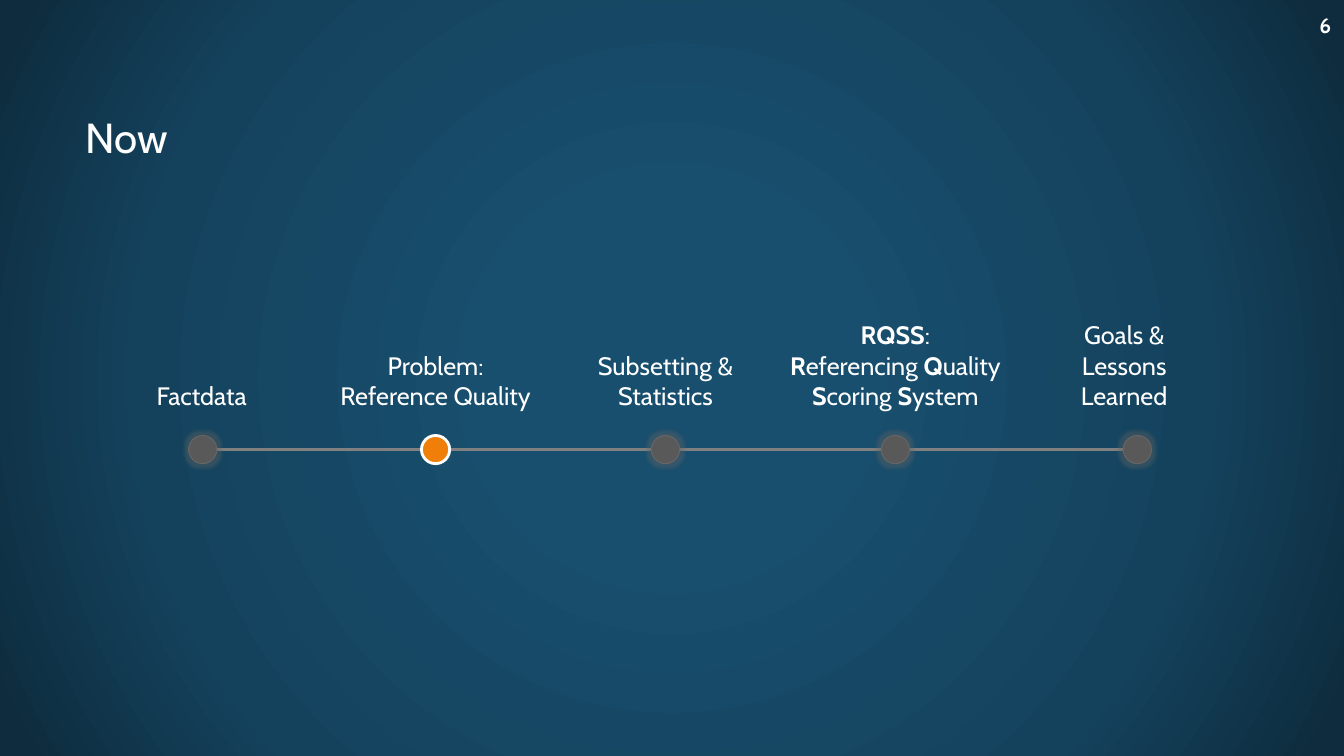
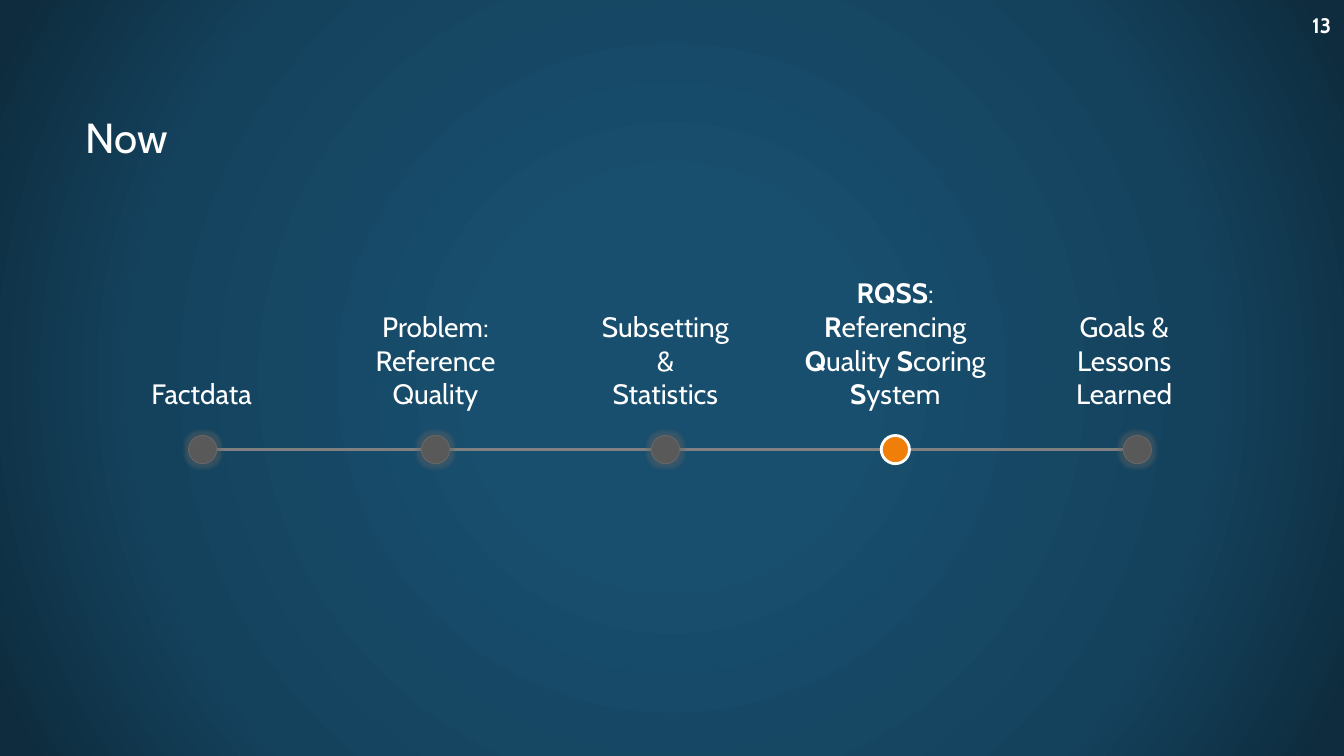
import pptx
import pptx.util
import pptx.dml.color
import pptx.enum.shapes
import pptx.enum.text
import pptx.oxml
import pptx.oxml.ns
from pptx.util import Inches

Pt = pptx.util.Pt
Align = pptx.enum.text.PP_ALIGN
Anchor = pptx.enum.text.MSO_ANCHOR
qn = pptx.oxml.ns.qn
NS = pptx.oxml.ns.nsdecls("a")

# Shared style
FONT = "Cabin"
WHITE, ORANGE = "FFFFFF", "F07F09"
GREY, EDGE, TRACK = "595959", "656565", "808080"
GLOW = [(0, "184E6E"), (23, "184E6E"), (69, "14425D"), (97, "0E2C3E")]
AXIS, SIZE = 4.46, 0.28
TOP, HIGH = 2.6, 1.52

# Stops: label centre, label width, dot centre, lines (*...* is bold)
STOPS = [
    (2.0, 1.43, 2.01, ["Factdata"]),
    (4.32, 2.25, 4.32, ["Problem:", "Reference Quality"]),
    (6.6, 1.56, 6.6, ["Subsetting &", "Statistics"]),
    (8.88, 2.46, 8.88,
     ["*RQSS*:", "*R*eferencing *Q*uality *S*coring *S*ystem"]),
    (11.15, 1.43, 11.28, ["Goals & Lessons Learned"]),
]

# Slides: page number, label size, index of the current stop
PAGES = [("6", 18, 1), ("13", 20, 3)]


def color(code):
    return pptx.dml.color.RGBColor.from_string(code)


class Deck:
    def __init__(self):
        self.file = pptx.Presentation()
        self.file.slide_width = Inches(13.33)
        self.file.slide_height = Inches(7.5)
        self.slide = None
        self.back()

    def back(self):
        """Give the master a round gradient."""
        master = self.file.slide_master
        master.background.fill.solid()
        stops = "".join(
            f'<a:gs pos="{pos * 1000}"><a:srgbClr val="{code}"/></a:gs>'
            for pos, code in GLOW)
        grad = pptx.oxml.parse_xml(
            f'<a:gradFill {NS} rotWithShape="1"><a:gsLst>{stops}</a:gsLst>'
            '<a:path path="circle"><a:fillToRect l="50000" t="50000" '
            'r="50000" b="50000"/></a:path></a:gradFill>')
        base = master.element.find(".//" + qn("p:bgPr"))
        base.replace(base[0], grad)

    def style(self, run, size, bold=False):
        run.font.name = FONT
        run.font.size = Pt(size)
        run.font.bold = bold
        run.font.color.rgb = color(WHITE)

    def page(self, title, number):
        self.slide = self.file.slides.add_slide(self.file.slide_layouts[5])
        head = self.slide.shapes.title
        head.left, head.top = Inches(0.75), Inches(0.67)
        head.width, head.height = Inches(11.86), Inches(1.38)
        head.text_frame.text = title
        head.text_frame.vertical_anchor = Anchor.MIDDLE
        para = head.text_frame.paragraphs[0]
        para.alignment = Align.LEFT
        self.style(para.runs[0], 30)
        self.text(11.92, 0.04, 1.38, 0.41, [f"*{number}*"], 15,
                  Align.RIGHT, Anchor.MIDDLE)

    def text(self, left, top, width, height, lines, size, align, anchor):
        box = self.slide.shapes.add_textbox(
            Inches(left), Inches(top), Inches(width), Inches(height))
        frame = box.text_frame
        frame.word_wrap = True
        frame.vertical_anchor = anchor
        frame.text = "\n".join(lines)
        for para, line in zip(frame.paragraphs, lines):
            para.alignment = align
            para.text = ""
            for i, part in enumerate(line.split("*")):
                if part:
                    run = para.add_run()
                    run.text = part
                    self.style(run, size, i % 2 == 1)

    def track(self, start, end):
        line = self.slide.shapes.add_connector(
            pptx.enum.shapes.MSO_CONNECTOR.STRAIGHT,
            Inches(start), Inches(AXIS), Inches(end), Inches(AXIS))
        line.line.color.rgb = color(TRACK)
        line.line.width = Pt(1.75)
        line.element.spPr.append(pptx.oxml.parse_xml(f"<a:effectLst {NS}/>"))

    def dot(self, mid, now):
        dot = self.slide.shapes.add_shape(
            pptx.enum.shapes.MSO_SHAPE.OVAL, Inches(mid - SIZE / 2),
            Inches(AXIS - SIZE / 2), Inches(SIZE), Inches(SIZE))
        dot.shadow.inherit = False
        dot.fill.solid()
        dot.fill.fore_color.rgb = color(ORANGE if now else GREY)
        dot.line.color.rgb = color(WHITE if now else EDGE)
        dot.line.width = Pt(2 if now else 0.75)
        if not now:
            # Soft halo
            dot.element.spPr.find(qn("a:effectLst")).append(
                pptx.oxml.parse_xml(
                    f'<a:glow {NS} rad="63500"><a:srgbClr val="{EDGE}">'
                    '<a:alpha val="40000"/></a:srgbClr></a:glow>'))


def main():
    deck = Deck()
    for number, size, now in PAGES:
        deck.page("Now", number)
        deck.track(STOPS[0][2], STOPS[-1][2])
        for i, (mid, width, spot, lines) in enumerate(STOPS):
            deck.text(mid - width / 2, TOP, width, HIGH, lines, size,
                      Align.CENTER, Anchor.BOTTOM)
            deck.dot(spot, i == now)
    deck.file.save("out.pptx")


if __name__ == "__main__":
    main()
